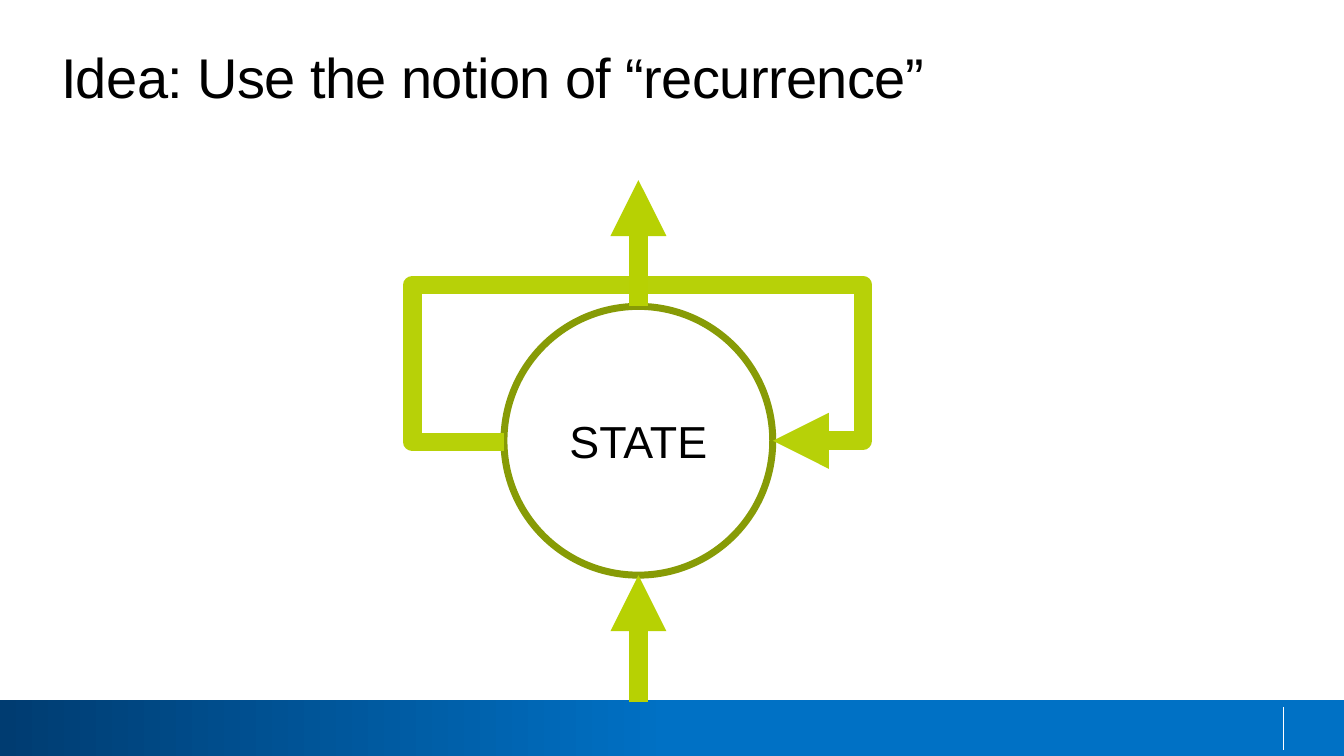
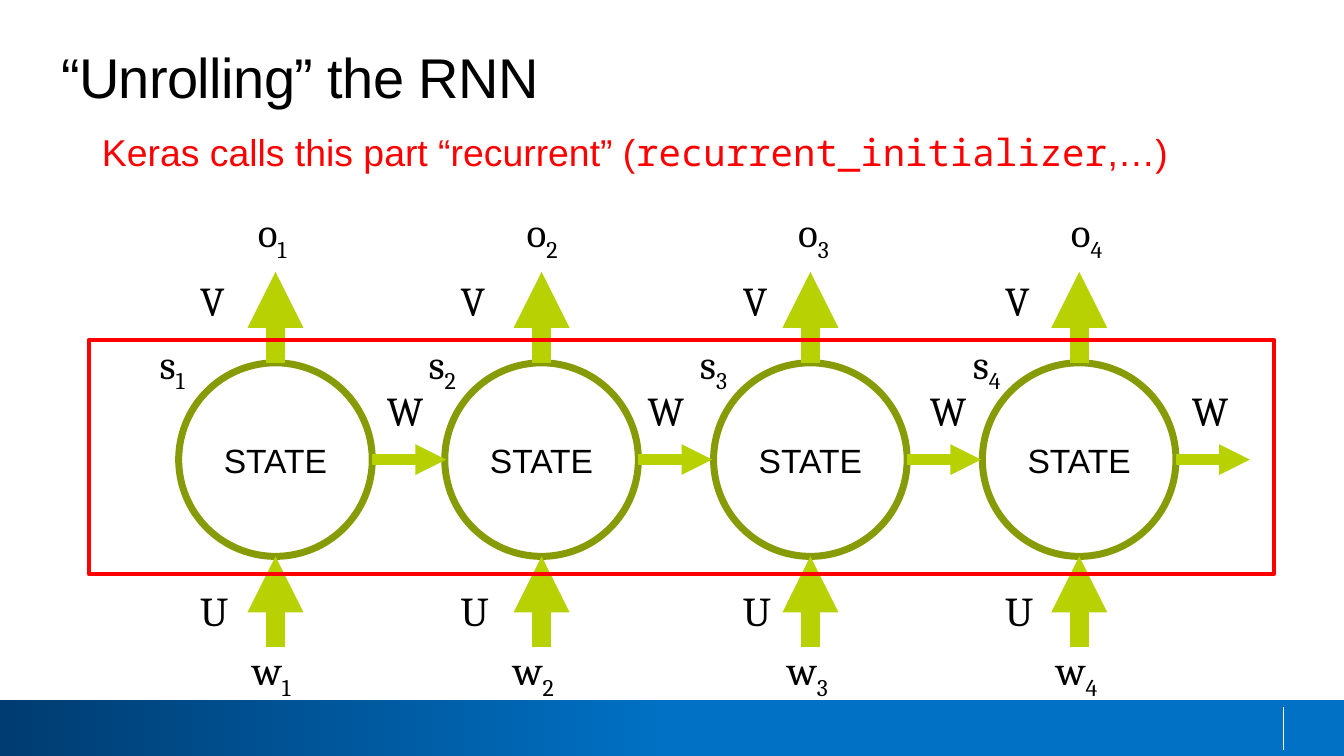
from lxml import etree
from pptx import Presentation
from pptx import util as u
from pptx.dml.color import RGBColor
from pptx.enum import shapes, text
from pptx.oxml.ns import qn

COLOURS = {
    "ink": "000000",
    "white": "FFFFFF",
    "navy": "003C71",
    "blue": "0071C5",
    "olive": "879B06",
    "lime": "B7D103",
    "loop": "B7D108",
    "red": "FF0000",
}
SANS, SERIF, MONO = "Arial", "Cambria", "Noto Sans Mono"
WIDTH = u.Inches(10)
HEIGHT = WIDTH * 9 // 16
COLUMNS = 100
ROWS = 56.25
FEED_SHARE = 0.47
STATE_ROW = 34.2


def cells(*counts):
    """Turn counts of grid cells into lengths."""
    return [round(count * WIDTH / COLUMNS) for count in counts]


def colour(name):
    """Look up a named colour."""
    return RGBColor.from_string(COLOURS[name])


def add_run(paragraph, words, size, font=SANS, ink="ink"):
    """Append one formatted run."""
    run = paragraph.add_run()
    run.text = words
    run.font.size = u.Pt(size)
    run.font.name = font
    run.font.color.rgb = colour(ink)
    return run


def set_line(line, ink, weight, arrow=False):
    """Colour a line and optionally end it in a triangle."""
    line.color.rgb = colour(ink)
    line.width = u.Pt(weight)
    if arrow:
        etree.SubElement(line._get_or_add_ln(), qn("a:tailEnd"), type="triangle")


def add_line(parent, start, end, ink, weight, arrow=False):
    """Draw a straight line between two grid points."""
    link = parent.add_connector(
        shapes.MSO_CONNECTOR.STRAIGHT, *cells(*start, *end))
    set_line(link.line, ink, weight, arrow)
    etree.SubElement(link._element.spPr, qn("a:effectLst"))


def add_outline(parent, kind, box, ink, weight):
    """Draw an unfilled preset shape."""
    outline = parent.add_shape(kind, *cells(*box))
    outline.shadow.inherit = False
    outline.fill.background()
    set_line(outline.line, ink, weight)
    return outline


def add_state(parent, centre, row, diameter, size):
    """Draw a STATE circle around a grid point."""
    radius = diameter / 2
    circle = add_outline(
        parent, shapes.MSO_SHAPE.OVAL,
        (centre - radius, row - radius, diameter, diameter), "olive", 3.75)
    circle.text_frame.vertical_anchor = text.MSO_ANCHOR.MIDDLE
    label = circle.text_frame.paragraphs[0]
    label.alignment = text.PP_ALIGN.CENTER
    add_run(label, "STATE", size)


def add_feeds(parent, centre, row, diameter):
    """Draw the arrows into the bottom and out of the top of a state."""
    radius, length = diameter / 2, diameter * FEED_SHARE
    for tail in (row + radius + length, row - radius):
        add_line(parent, (centre, tail), (centre, tail - length),
                 "lime", 10, arrow=True)


def add_loop(parent, points):
    """Draw the recurrent path as an open outline with an arrowhead."""
    corners = [cells(*point) for point in points]
    builder = parent.build_freeform(*corners[0])
    builder.add_line_segments(corners[1:], close=False)
    loop = builder.convert_to_shape()
    loop.shadow.inherit = False
    loop.fill.background()
    set_line(loop.line, "loop", 10, arrow=True)


def add_text(parent, box, wrap=False):
    """Add a text box and return its first paragraph."""
    frame = parent.add_textbox(*cells(*box)).text_frame
    frame.word_wrap = wrap
    frame.auto_size = text.MSO_AUTO_SIZE.SHAPE_TO_FIT_TEXT
    return frame.paragraphs[0]


def add_symbol(parent, left, top, width, letter, index=None):
    """Add a maths symbol with an optional subscript."""
    symbol = add_text(parent, (left, top, width, 4.7))
    add_run(symbol, letter, 22, SERIF)
    if index:
        subscript = add_run(symbol, str(index), 22, SERIF)
        subscript._r.get_or_add_rPr().set("baseline", "-25000")


def add_band(parent):
    """Draw the gradient footer band and its divider."""
    band = parent.add_shape(
        shapes.MSO_SHAPE.RECTANGLE, *cells(0, 52.1, COLUMNS, ROWS - 52.1))
    band.shadow.inherit = False
    band.line.fill.background()
    band.fill.gradient()
    band.fill.gradient_angle = 0
    stops = band.fill.gradient_stops
    for stop, place, name in zip(stops, (0, 0.5), ("navy", "blue")):
        stop.position = place
        stop.color.rgb = colour(name)
    add_line(parent, (95.5, 52.6), (95.5, 55.8), "white", 0.75)


def add_slide(deck, heading):
    """Add a slide with the shared title style and footer band."""
    slide = deck.slides.add_slide(deck.slide_layouts.get_by_name("Title Only"))
    add_band(slide.shapes)
    title = slide.shapes.title
    title.left, title.top, title.width, title.height = cells(4.4, 3.2, 92.3, 5)
    frame = title.text_frame
    frame.auto_size = text.MSO_AUTO_SIZE.NONE
    frame.word_wrap = True
    frame.vertical_anchor = text.MSO_ANCHOR.TOP
    frame.margin_top = frame.margin_right = frame.margin_bottom = 0
    frame.margin_left = u.Pt(1)
    line = frame.paragraphs[0]
    line.alignment = text.PP_ALIGN.LEFT
    line.space_before = u.Pt(3)
    run = add_run(line, heading, 30)
    run._r.get_or_add_rPr().set("spc", "-30")
    return slide.shapes


def build_recurrence(deck):
    """Show one state that feeds back into itself."""
    canvas = add_slide(deck, "Idea: Use the notion of “recurrence”")
    centre, row, diameter = 47.5, 32.8, 20
    add_state(canvas, centre, row, diameter, 24)
    add_loop(canvas, [(37.5, 32.9), (30.7, 32.9), (30.7, 21.2),
                      (64.2, 21.2), (64.2, row), (57.5, row)])
    add_feeds(canvas, centre, row, diameter)


def build_unrolled(deck):
    """Show the network unrolled over four steps."""
    canvas = add_slide(deck, "“Unrolling” the RNN")
    diameter = 14.4
    centres = (20.5, 40.3, 60.3, 80.3)
    weights = (13.9, 33.3, 54.3, 73.8)
    outputs = (18.2, 38.2, 58.4, 78.7)
    inputs = (17.8, 37.2, 57.6, 77.6)

    for centre in centres:
        step = canvas.add_group_shape().shapes
        add_state(step, centre, STATE_ROW, diameter, 18)
        add_feeds(step, centre, STATE_ROW, diameter)
    for centre in centres:
        edge = centre + diameter / 2
        add_line(canvas, (edge, STATE_ROW), (edge + 5.5, STATE_ROW),
                 "lime", 5.5, arrow=True)

    steps = zip(weights, outputs, inputs)
    for index, (weight, output, word) in enumerate(steps, start=1):
        add_symbol(canvas, weight, 43.1, 4, "U")
        add_symbol(canvas, weight, 20, 4, "V")
        add_symbol(canvas, weight + 13.9, 28.2, 4.9, "W")
        add_symbol(canvas, output, 14.9, 4.8, "o", index)
        add_symbol(canvas, output - 7.3, 24.7, 4.5, "s", index)
        add_symbol(canvas, word, 47.5, 5.5, "w", index)

    add_outline(canvas, shapes.MSO_SHAPE.RECTANGLE,
                (6.6, 25.3, 88.2, 17.4), "red", 2.25)
    remark = add_text(canvas, (6.6, 9.1, 88.2, 4.4), wrap=True)
    for words, font in (("Keras calls this part “recurrent” (", SANS),
                        ("recurrent_initializer", MONO), (",…)", SANS)):
        add_run(remark, words, 20, font, "red")


def main():
    """Build and save the deck."""
    deck = Presentation()
    deck.slide_width, deck.slide_height = WIDTH, HEIGHT
    build_recurrence(deck)
    build_unrolled(deck)
    deck.save("out.pptx")


if __name__ == "__main__":
    main()
